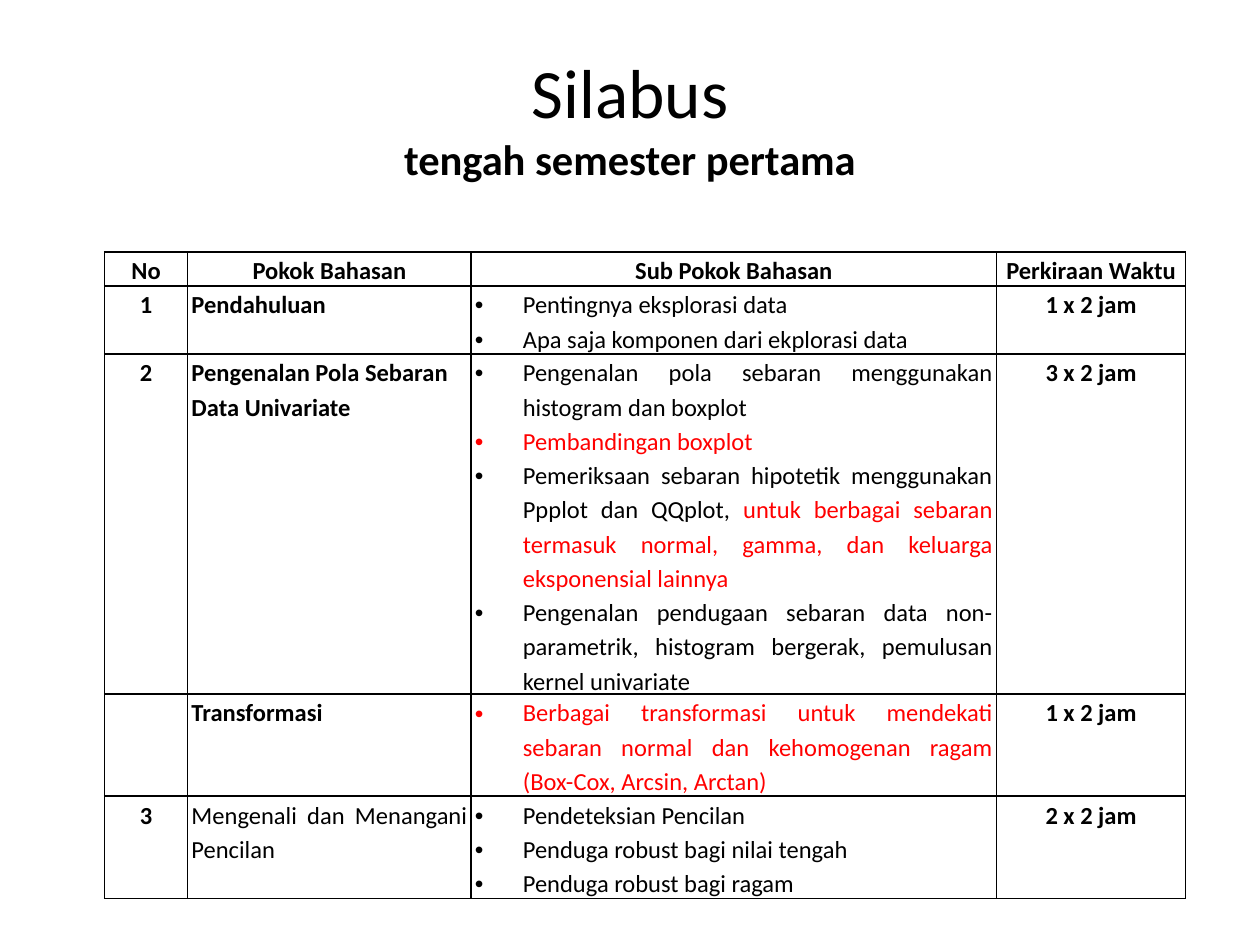
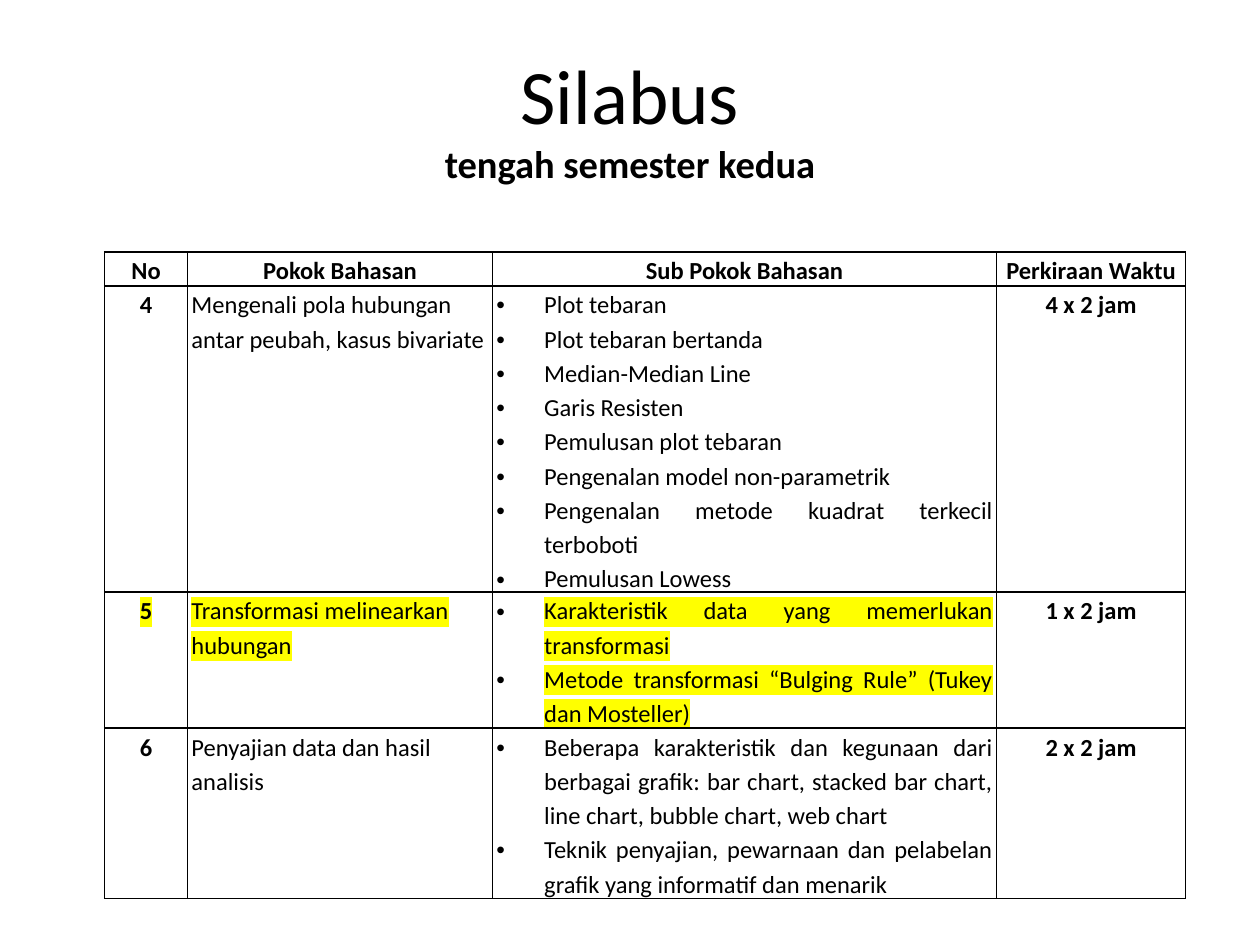
from lxml import etree
from pptx import Presentation, util as u
from pptx.dml.color import RGBColor
from pptx.enum import text
from pptx.oxml.ns import qn

COLORS = {"ink": "000000", "red": "FF0000", "mark": "FFFF00"}
FONT = "Calibri"
LEFT, CENTER, JUSTIFY = (text.PP_ALIGN.LEFT, text.PP_ALIGN.CENTER,
                         text.PP_ALIGN.JUSTIFY)
HEADS = ["No", "Pokok Bahasan", "Sub Pokok Bahasan", "Perkiraan Waktu"]
LINE_HEIGHT = 0.27
HANGING = 0.38


def red(words):
    return [(words, {"color": "red"})]


def write(p, content, size=14, bold=False, color="ink", mark=False,
          align=LEFT, spacing=None, bullet=False):
    """Fill a paragraph from a string or a list of (string, format) runs."""
    p.alignment = align
    if spacing:
        p.line_spacing = spacing
    if bullet:
        pPr = p._p.get_or_add_pPr()
        pPr.set("marL", str(u.Inches(HANGING)))
        pPr.set("indent", str(-u.Inches(HANGING)))
        etree.SubElement(pPr, qn("a:buFont")).set("typeface", "Arial")
        etree.SubElement(pPr, qn("a:buChar")).set("char", "•")
    runs = [(content, {})] if isinstance(content, str) else content
    for words, fmt in runs:
        r = p.add_run()
        r.text = words
        r.font.size, r.font.bold, r.font.name = u.Pt(size), bold, FONT
        r.font.color.rgb = RGBColor.from_string(COLORS[fmt.get("color", color)])
        if mark:
            highlight = etree.Element(qn("a:highlight"))
            etree.SubElement(highlight, qn("a:srgbClr")).set("val", COLORS["mark"])
            r.font._element.find(qn("a:solidFill")).addnext(highlight)


class Deck:
    def __init__(self):
        self.prs = Presentation()
        self.prs.slide_width, self.prs.slide_height = u.Inches(10), u.Inches(7.5)
        self.slide = None

    def new_slide(self):
        self.slide = self.prs.slides.add_slide(self.prs.slide_layouts[6])

    def title(self, subtitle, title_size, subtitle_size):
        sp = self.slide.shapes.add_textbox(u.Inches(0.5), u.Inches(0.3),
                                           u.Inches(9), u.Inches(1.25))
        tf = sp.text_frame
        tf.word_wrap = True
        tf.vertical_anchor = text.MSO_ANCHOR.MIDDLE
        write(tf.paragraphs[0], "Silabus", size=title_size, align=CENTER)
        write(tf.add_paragraph(), subtitle, size=subtitle_size, bold=True,
              align=CENTER)

    def cell(self, cell, paragraphs, **fmt):
        cell.margin_left = cell.margin_right = u.Inches(0.03)
        cell.margin_top = cell.margin_bottom = 0
        tcPr = cell._tc.get_or_add_tcPr()
        for side in ("lnL", "lnR", "lnT", "lnB"):
            ln = etree.SubElement(tcPr, qn("a:" + side), w=str(u.Pt(1)))
            fill = etree.SubElement(ln, qn("a:solidFill"))
            etree.SubElement(fill, qn("a:srgbClr")).set("val", COLORS["ink"])
        cell.fill.background()
        tf = cell.text_frame
        for i, content in enumerate(paragraphs):
            p = tf.add_paragraph() if i else tf.paragraphs[0]
            write(p, content, spacing=1.15, **fmt)

    def syllabus(self, widths, rows):
        """Draw the table; a row is (lines, no, topic, topic format, subtopics, time, mark)."""
        table = self.slide.shapes.add_table(
            len(rows) + 1, len(HEADS), u.Inches(0.83), u.Inches(2),
            u.Inches(sum(widths)), u.Inches(LINE_HEIGHT)).table
        table.first_row = table.horz_banding = False
        for column, width in zip(table.columns, widths):
            column.width = u.Inches(width)
        for tr, lines in zip(table.rows, [1] + [row[0] for row in rows]):
            tr.height = u.Inches(lines * LINE_HEIGHT)
        strong = {"bold": True, "align": CENTER}
        for col, head in enumerate(HEADS):
            self.cell(table.cell(0, col), [head], **strong)
        for i, (_, no, topic, topic_fmt, subtopics, time, mark) in enumerate(rows, 1):
            self.cell(table.cell(i, 0), [no], mark=mark, **strong)
            self.cell(table.cell(i, 1), [topic], mark=mark, **topic_fmt)
            self.cell(table.cell(i, 2), subtopics, mark=mark, align=JUSTIFY,
                      bullet=True)
            self.cell(table.cell(i, 3), [time], **strong)


FIRST_HALF = [
    (2, "1", "Pendahuluan", {"bold": True},
     ["Pentingnya eksplorasi data", "Apa saja komponen dari ekplorasi data"],
     "1 x 2 jam", False),
    (10, "2", "Pengenalan Pola Sebaran Data Univariate", {"bold": True},
     ["Pengenalan pola sebaran menggunakan histogram dan boxplot",
      red("Pembandingan boxplot"),
      [("Pemeriksaan sebaran hipotetik menggunakan Ppplot dan QQplot,", {})]
      + red(" untuk berbagai sebaran termasuk normal, gamma, dan keluarga "
            "eksponensial lainnya"),
      "Pengenalan pendugaan sebaran data non-parametrik, histogram bergerak, "
      "pemulusan kernel univariate"],
     "3 x 2 jam", False),
    (3, [], "Transformasi", {"bold": True},
     [red("Berbagai transformasi untuk mendekati sebaran normal dan "
          "kehomogenan ragam (Box-Cox, Arcsin, Arctan)")],
     "1 x 2 jam", False),
    (3, "3", "Mengenali dan Menangani Pencilan", {"align": JUSTIFY},
     ["Pendeteksian Pencilan", "Penduga robust bagi nilai tengah",
      "Penduga robust bagi ragam"],
     "2 x 2 jam", False),
]

SECOND_HALF = [
    (9, "4", "Mengenali pola hubungan antar peubah, kasus bivariate", {},
     ["Plot tebaran", "Plot tebaran bertanda", "Median-Median Line",
      "Garis Resisten", "Pemulusan plot tebaran",
      "Pengenalan model non-parametrik",
      "Pengenalan metode kuadrat terkecil terboboti", "Pemulusan Lowess"],
     "4 x 2 jam", False),
    (4, "5", "Transformasi melinearkan hubungan", {},
     ["Karakteristik data yang memerlukan transformasi",
      "Metode transformasi “Bulging Rule” (Tukey dan Mosteller)"],
     "1 x 2 jam", True),
    (5, "6", "Penyajian data dan hasil analisis", {},
     ["Beberapa karakteristik dan kegunaan dari berbagai grafik: bar chart, "
      "stacked bar chart, line chart, bubble chart, web chart",
      "Teknik penyajian, pewarnaan dan pelabelan grafik yang informatif dan "
      "menarik"],
     "2 x 2 jam", False),
]


def main():
    deck = Deck()
    deck.new_slide()
    deck.title("tengah semester pertama", 39.6, 24.3)
    deck.syllabus([0.66, 2.25, 4.17, 1.5], FIRST_HALF)
    deck.new_slide()
    deck.title("tengah semester kedua", 44, 22)
    deck.syllabus([0.66, 2.42, 4, 1.5], SECOND_HALF)
    deck.prs.save("out.pptx")


if __name__ == "__main__":
    main()
